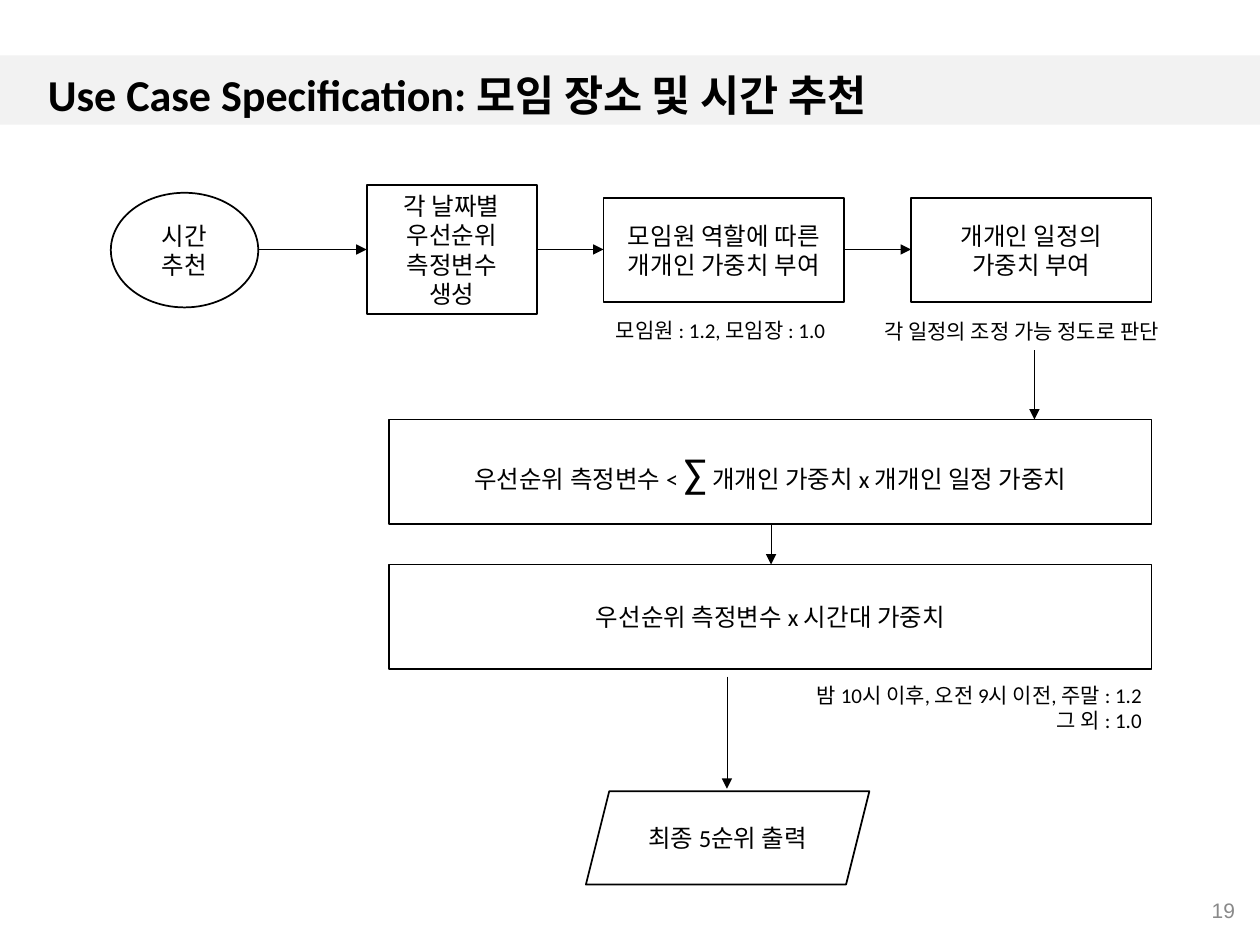
from lxml.etree import SubElement
from pptx import Presentation
from pptx.dml.color import RGBColor
from pptx.enum.shapes import MSO_CONNECTOR, MSO_SHAPE
from pptx.enum.text import MSO_ANCHOR, PP_ALIGN
from pptx.oxml.ns import qn
from pptx.util import Inches, Pt

BLACK = RGBColor(0x00, 0x00, 0x00)
GRAY = RGBColor(0x89, 0x89, 0x89)
BAND = RGBColor(0xF2, 0xF2, 0xF2)
KOREAN = "Noto Sans CJK KR"


def write_text(box, paragraphs, size=14, font="Calibri", color=BLACK, bold=False,
               align=PP_ALIGN.CENTER, anchor=MSO_ANCHOR.MIDDLE):
    frame = box.text_frame
    frame.word_wrap = True
    frame.vertical_anchor = anchor
    for index, spans in enumerate(paragraphs):
        para = frame.add_paragraph() if index else frame.paragraphs[0]
        para.alignment = align
        for text, span_size, span_font in spans:
            span = para.add_run()
            span.text = text
            span.font.size = Pt(span_size or size)
            span.font.name = span_font or font
            span.font.bold = bold
            span.font.color.rgb = color
            SubElement(span.font._element, qn("a:ea")).set("typeface", KOREAN)


def plain(*lines):
    return [[(line, None, None)] for line in lines]


deck = Presentation()
deck.slide_width, deck.slide_height = Inches(10), Inches(7.5)
page = deck.slides.add_slide(deck.slide_layouts[5])

band = page.shapes.add_shape(MSO_SHAPE.RECTANGLE, 0, Inches(0.44), Inches(10), Inches(0.55))
band.shadow.inherit = False
band.fill.solid()
band.fill.fore_color.rgb = BAND
band.line.fill.background()
page.shapes._spTree.insert(2, band._element)

title = page.shapes.title
title.left, title.top, title.width, title.height = map(Inches, (0.28, 0.43, 9.45, 0.56))
write_text(title, [[("Use Case Specification: ", 25.2, None),
                    ("모임 장소 및 시간 추천", 24.3, KOREAN)]],
           bold=True, align=PP_ALIGN.LEFT)
title.text_frame.paragraphs[0].line_spacing = 1.15

formula = [[("우선순위 측정변수 < ", None, None), ("∑", 24, None),
            (" 개개인 가중치 x 개개인 일정 가중치", None, None)]]
steps = [
    (MSO_SHAPE.OVAL, 0.88, 1.53, 1.17, 0.91, plain("시간", "추천")),
    (MSO_SHAPE.RECTANGLE, 2.91, 1.47, 1.35, 1.02,
     plain("각 날짜별", "우선순위", "측정변수", "생성")),
    (MSO_SHAPE.RECTANGLE, 4.79, 1.57, 1.91, 0.83,
     plain("모임원 역할에 따른 개개인 가중치 부여")),
    (MSO_SHAPE.RECTANGLE, 7.23, 1.57, 1.91, 0.83, plain("개개인 일정의", "가중치 부여")),
    (MSO_SHAPE.RECTANGLE, 3.09, 3.33, 6.05, 0.83, formula),
    (MSO_SHAPE.RECTANGLE, 3.09, 4.48, 6.05, 0.83, plain("우선순위 측정변수 x 시간대 가중치")),
    (MSO_SHAPE.PARALLELOGRAM, 4.65, 6.28, 2.25, 0.74, plain("최종 5순위 출력")),
]
for kind, left, top, width, height, paragraphs in steps:
    step = page.shapes.add_shape(kind, Inches(left), Inches(top), Inches(width), Inches(height))
    step.shadow.inherit = False
    step.fill.background()
    step.line.color.rgb = BLACK
    step.line.width = Pt(1)
    write_text(step, paragraphs)

captions = [
    (4.79, 2.47, 1.97, 0.3, PP_ALIGN.LEFT, plain("모임원 : 1.2, 모임장 : 1.0")),
    (6.92, 2.48, 2.58, 0.3, PP_ALIGN.LEFT, plain("각 일정의 조정 가능 정도로 판단")),
    (6.2, 5.37, 2.96, 0.5, PP_ALIGN.RIGHT,
     plain("밤 10시 이후, 오전 9시 이전, 주말 : 1.2", "그 외 : 1.0")),
]
for left, top, width, height, align, paragraphs in captions:
    caption = page.shapes.add_textbox(Inches(left), Inches(top), Inches(width), Inches(height))
    write_text(caption, paragraphs, size=12, align=align, anchor=MSO_ANCHOR.TOP)

arrows = [
    (2.05, 1.98, 2.91, 1.98),
    (4.26, 1.98, 4.79, 1.98),
    (6.7, 1.98, 7.23, 1.98),
    (8.21, 2.78, 8.21, 3.33),
    (6.12, 4.17, 6.12, 4.48),
    (5.77, 5.37, 5.77, 6.26),
]
for ends in arrows:
    arrow = page.shapes.add_connector(MSO_CONNECTOR.STRAIGHT, *map(Inches, ends))
    arrow.line.color.rgb = BLACK
    arrow.line.width = Pt(0.5)
    SubElement(arrow.line._get_or_add_ln(), qn("a:tailEnd")).set("type", "triangle")
    SubElement(arrow._element.spPr, qn("a:effectLst"))

number = page.shapes.add_textbox(Inches(7.65), Inches(7.02), Inches(2.25), Inches(0.4))
write_text(number, plain("19"), size=12, font="Arial", color=GRAY, align=PP_ALIGN.RIGHT)

deck.save("out.pptx")
